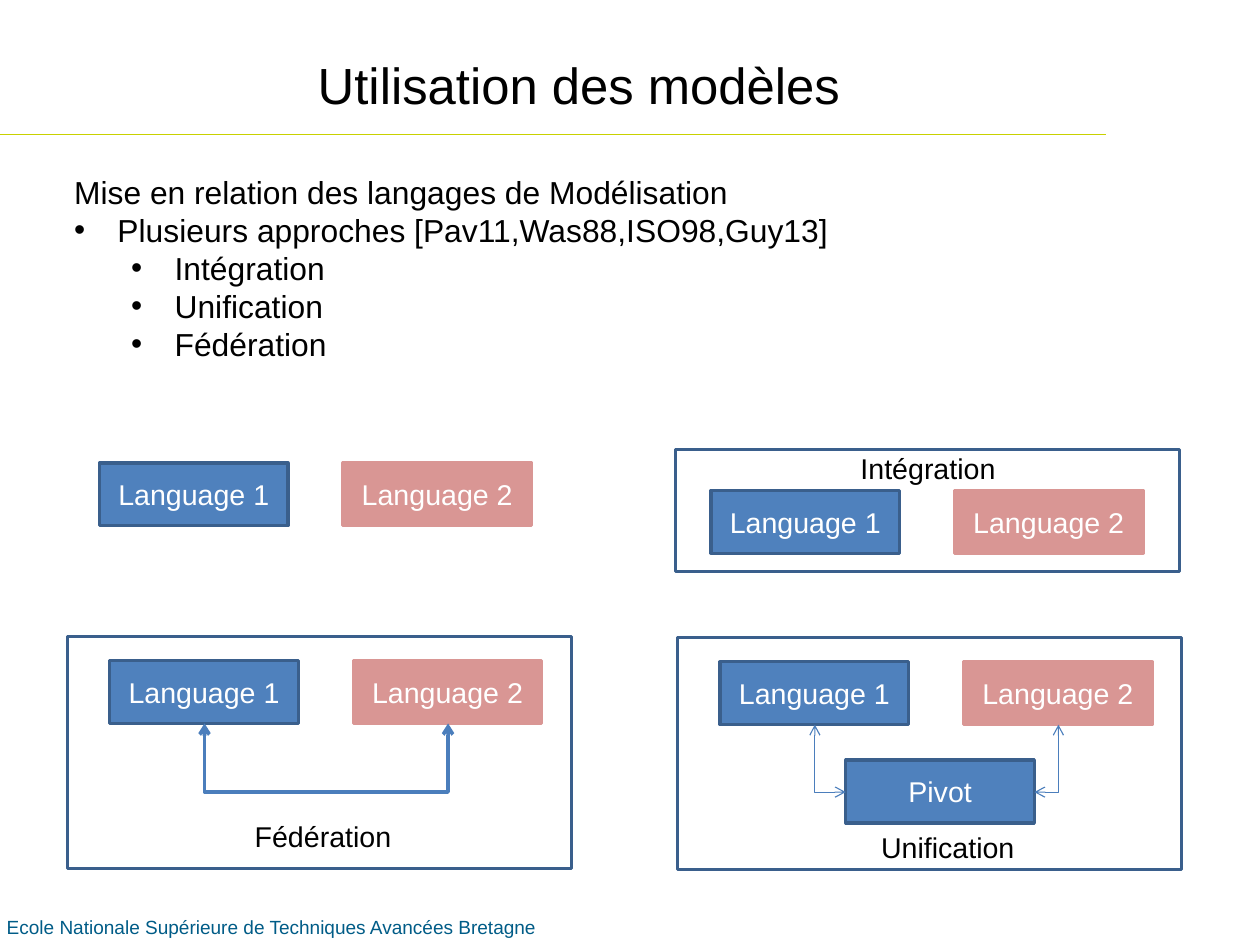
from lxml import etree
from pptx import Presentation
from pptx import util as u
from pptx.dml.color import RGBColor
from pptx.enum import shapes, text
from pptx.oxml.ns import qn

BLACK = RGBColor(0x00, 0x00, 0x00)
WHITE = RGBColor(0xFF, 0xFF, 0xFF)
BLUE = RGBColor(0x4F, 0x81, 0xBD)
DARK_BLUE = RGBColor(0x3A, 0x5F, 0x8C)
ARROW_BLUE = RGBColor(0x4B, 0x7E, 0xBC)
PINK = RGBColor(0xD9, 0x96, 0x94)
LIME = RGBColor(0xC8, 0xD1, 0x00)
FOOTER_BLUE = RGBColor(0x00, 0x5C, 0x87)

BOX_W, BOX_H = 1.65, 0.55
LANGUAGE_STEP = 2.13
FRAME_W = 4.41


class SlideBuilder:
    """Holds the style and the current slide."""

    font = "Arial"

    def __init__(self, s):
        self.s = s

    def style(self, tf, size, color):
        for p in tf.paragraphs:
            for r in p.runs:
                r.font.name = self.font
                r.font.size = u.Pt(size)
                r.font.color.rgb = color

    def title(self, x, y, w, h, content):
        sp = self.s.shapes.title
        sp.left, sp.top, sp.width, sp.height = map(u.Inches, (x, y, w, h))
        tf = sp.text_frame
        tf.text = content
        tf.vertical_anchor = text.MSO_ANCHOR.MIDDLE
        tf.paragraphs[0].alignment = text.PP_ALIGN.LEFT
        self.style(tf, 32, BLACK)

    def label(self, x, y, w, h, content, size=18, color=BLACK, wrap=False):
        sp = self.s.shapes.add_textbox(*map(u.Inches, (x, y, w, h)))
        tf = sp.text_frame
        tf.word_wrap = wrap
        tf.text = content
        self.style(tf, size, color)
        return tf

    def bullet(self, p, level, margin):
        p.level = level
        pPr = p._p.get_or_add_pPr()
        pPr.set("marL", str(u.Inches(margin)))
        pPr.set("indent", str(-u.Inches(0.38)))
        etree.SubElement(pPr, qn("a:buFont")).set("typeface", self.font)
        etree.SubElement(pPr, qn("a:buChar")).set("char", "•")

    def rect(self, x, y, w, h, line, fill=None, content=""):
        sp = self.s.shapes.add_shape(
            shapes.MSO_SHAPE.RECTANGLE, *map(u.Inches, (x, y, w, h)))
        sp.shadow.inherit = False
        sp.line.color.rgb = line
        sp.line.width = u.Pt(2)
        if fill is None:
            sp.fill.background()
        else:
            sp.fill.solid()
            sp.fill.fore_color.rgb = fill
        if content:
            tf = sp.text_frame
            tf.text = content
            tf.vertical_anchor = text.MSO_ANCHOR.MIDDLE
            tf.paragraphs[0].alignment = text.PP_ALIGN.CENTER
            self.style(tf, 18, WHITE)

    def box(self, x, y, content, fill=BLUE, line=DARK_BLUE):
        self.rect(x, y, BOX_W, BOX_H, line, fill, content)

    def languages(self, x, y):
        self.box(x, y, "Language 1")
        self.box(x + LANGUAGE_STEP, y, "Language 2", PINK, PINK)

    def frame(self, x, y, h):
        self.rect(x, y, FRAME_W, h, DARK_BLUE)

    def line(self, start, end, color, width, kind=shapes.MSO_CONNECTOR.STRAIGHT):
        c = self.s.shapes.add_connector(kind, *map(u.Inches, start + end))
        c.line.color.rgb = color
        c.line.width = u.Pt(width)
        etree.SubElement(c._element.spPr, qn("a:effectLst"))
        return c

    def elbow(self, start, end, width, ends):
        """Leaves start sideways, then reaches end vertically."""
        c = self.line(start, end, ARROW_BLUE, width, shapes.MSO_CONNECTOR.ELBOW)
        c._element.spPr.find(qn("a:prstGeom")).set("prst", "bentConnector2")
        ln = c.line._get_or_add_ln()
        for tag in ends:
            etree.SubElement(ln, qn(tag)).set("type", "arrow")


def main():
    prs = Presentation()
    prs.slide_width, prs.slide_height = u.Cm(28), u.Cm(21)
    b = SlideBuilder(prs.slides.add_slide(prs.slide_layouts[5]))

    # Title, rule and footer
    b.line((0, 1.18), (9.68, 1.18), LIME, 0.75)
    b.label(-0.04, 7.96, 11.02, 0.34,
            "Ecole Nationale Supérieure de Techniques Avancées Bretagne",
            12, FOOTER_BLUE, True)
    b.title(2.68, 0.05, 7.29, 1.38, "Utilisation des modèles")

    # List of approaches
    approaches = ["Mise en relation des langages de Modélisation",
                  "Plusieurs approches [Pav11,Was88,ISO98,Guy13]",
                  "Intégration", "Unification", "Fédération"]
    tf = b.label(0.55, 1.46, 9.53, 2.12, "\n".join(approaches), 20, BLACK, True)
    for i, p in enumerate(tf.paragraphs):
        if i > 0:
            b.bullet(p, int(i > 1), 0.88 if i > 1 else 0.38)

    # Separate languages
    b.languages(0.87, 4.05)

    # Integration
    b.languages(6.22, 4.29)
    b.frame(5.91, 3.93, 1.07)
    b.label(7.43, 3.9, 1.39, 0.4, "Intégration")

    # Unification through a pivot
    b.languages(6.3, 5.79)
    b.box(7.4, 6.65, "Pivot")
    for side, center in ((7.4, 7.13), (7.4 + BOX_W, 7.13 + LANGUAGE_STEP)):
        b.elbow((side, 6.93), (center, 6.34), 0.75, ("a:headEnd", "a:tailEnd"))
    b.label(7.61, 7.21, 1.38, 0.4, "Unification")
    b.frame(5.93, 5.58, 2.03)

    # Federation
    b.languages(0.96, 5.78)
    for center in (1.79, 1.79 + LANGUAGE_STEP):
        b.elbow((2.83, 6.93), (center, 6.33), 2.25, ("a:tailEnd",))
    b.label(2.13, 7.12, 1.41, 0.4, "Fédération")
    b.frame(0.59, 5.57, 2.03)

    prs.save("out.pptx")


if __name__ == "__main__":
    main()
